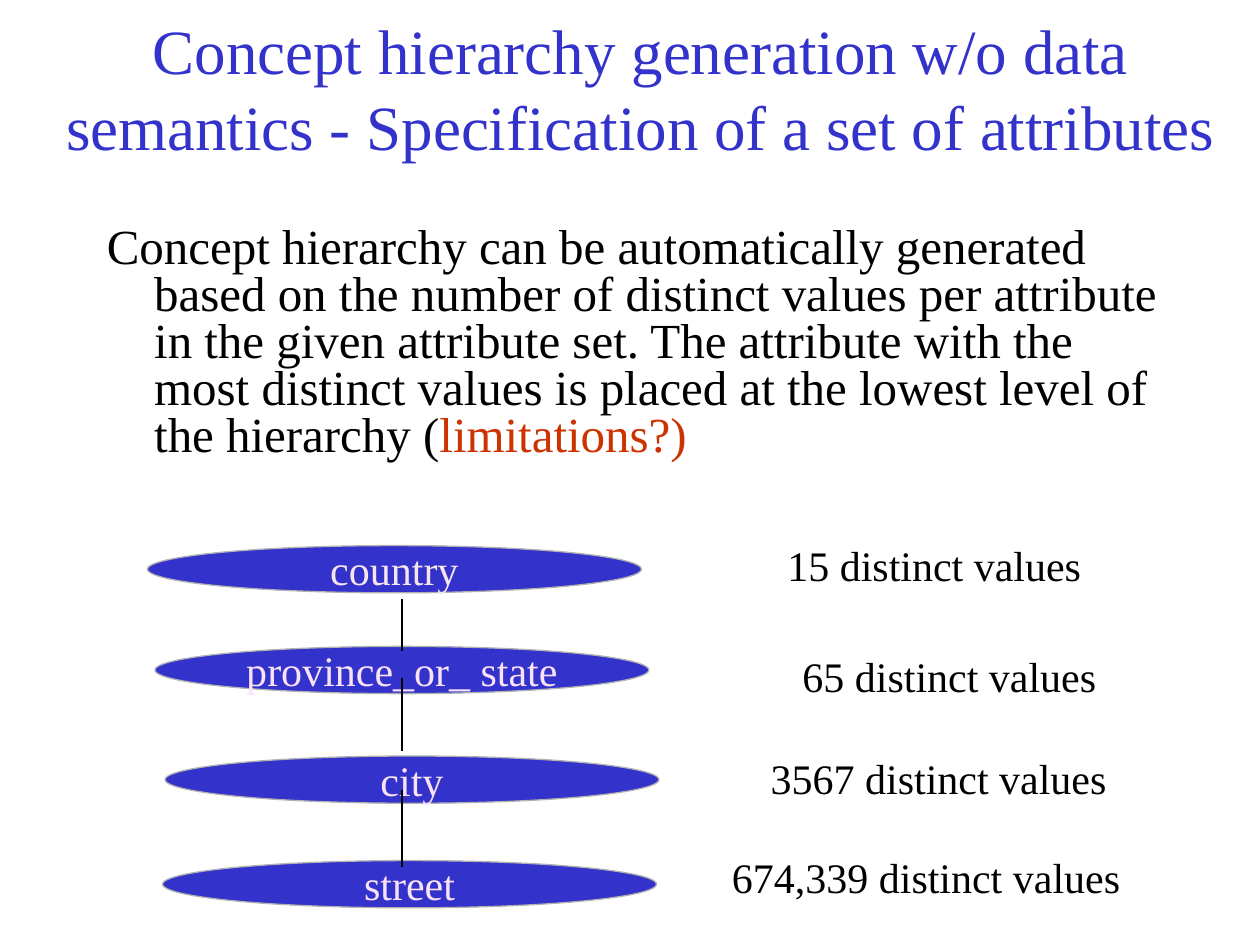
import dataclasses

import pptx
import pptx.dml.color
import pptx.enum.shapes
import pptx.enum.text
import pptx.oxml
import pptx.oxml.ns
import pptx.util

Pt = pptx.util.Pt
ALIGN = pptx.enum.text.PP_ALIGN
ANCHOR = pptx.enum.text.MSO_ANCHOR


@dataclasses.dataclass(frozen=True)
class Theme:
    font: str = "Times New Roman"
    blue: str = "3333CC"
    black: str = "000000"
    red: str = "CC3300"
    outline: str = "B2B2B2"
    pink: str = "F6E6EA"
    lilac: str = "FAE2F6"
    title_size: float = 36
    body_size: float = 28
    label_size: float = 24
    line_width: float = 0.74


@dataclasses.dataclass(frozen=True)
class Level:
    name: str
    left: float
    top: float
    color: str
    count: str
    count_left: float
    count_top: float
    count_width: float


THEME = Theme()
ELLIPSE_WIDTH, ELLIPSE_HEIGHT = 282.24, 27
LINK_X = 229.68
LEVELS = [
    Level("country", 84.24, 311.76, THEME.pink, "15 distinct values", 442.8, 304.56, 182.16),
    Level("province_or_ state", 88.56, 369.36, THEME.lilac, "65 distinct values", 451.44, 367.92, 182.16),
    Level("city", 94.32, 432, THEME.lilac, "3567 distinct values", 433.44, 426.24, 205.92),
    Level("street", 92.88, 491.76, THEME.lilac, "674,339 distinct values", 411.12, 483.12, 236.16),
]
LINKS = [(342, 372.24), (387.36, 429.12), (451.44, 495.36)]


def rgb(color: str) -> pptx.dml.color.RGBColor:
    return pptx.dml.color.RGBColor.from_string(color)


def place(shape, left: float, top: float, width: float, height: float) -> None:
    shape.left, shape.top, shape.width, shape.height = map(Pt, (left, top, width, height))


def write(shape, *runs: tuple[str, str], size: float, align=ALIGN.CENTER,
          anchor=ANCHOR.TOP, wrap: bool = True, bottom: float = 3.6):
    frame = shape.text_frame
    frame.word_wrap = wrap
    frame.auto_size = pptx.enum.text.MSO_AUTO_SIZE.NONE
    frame.vertical_anchor = anchor
    frame.margin_left = frame.margin_right = Pt(7.2)
    frame.margin_top, frame.margin_bottom = Pt(3.6), Pt(bottom)
    paragraph = frame.paragraphs[0]
    paragraph.alignment = align
    for text, color in runs:
        run = paragraph.add_run()
        run.text = text
        run.font.name = THEME.font
        run.font.size = Pt(size)
        run.font.color.rgb = rgb(color)
    return paragraph


def add_level(slide, level: Level) -> None:
    ellipse = slide.shapes.add_shape(
        pptx.enum.shapes.MSO_SHAPE.OVAL, Pt(level.left), Pt(level.top),
        Pt(ELLIPSE_WIDTH), Pt(ELLIPSE_HEIGHT))
    ellipse.shadow.inherit = False
    ellipse.fill.solid()
    ellipse.fill.fore_color.rgb = rgb(THEME.blue)
    ellipse.line.color.rgb = rgb(THEME.outline)
    ellipse.line.width = Pt(THEME.line_width)
    write(ellipse, (level.name, level.color), size=THEME.label_size,
          anchor=ANCHOR.MIDDLE, wrap=False)


def add_count(slide, level: Level) -> None:
    box = slide.shapes.add_textbox(
        Pt(level.count_left), Pt(level.count_top), Pt(level.count_width), Pt(36))
    write(box, (level.count, THEME.black), size=THEME.label_size, wrap=False)


def add_link(slide, top: float, bottom: float) -> None:
    link = slide.shapes.add_connector(
        pptx.enum.shapes.MSO_CONNECTOR.STRAIGHT, Pt(LINK_X), Pt(top), Pt(LINK_X), Pt(bottom))
    link.line.color.rgb = rgb(THEME.black)
    link.line.width = Pt(THEME.line_width)
    properties = link._element.spPr
    properties.append(pptx.oxml.parse_xml(
        f"<a:effectLst {pptx.oxml.ns.nsdecls('a')}/>"))


def add_description(slide) -> None:
    box = slide.shapes.add_textbox(Pt(54), Pt(126), Pt(617.76), Pt(149.76))
    paragraph = write(
        box,
        ("Concept hierarchy can be automatically generated based on the number of "
         "distinct values per attribute in the given attribute set. The attribute with "
         "the most distinct values is placed at the lowest level of the hierarchy (",
         THEME.black),
        ("limitations?)", THEME.red),
        size=THEME.body_size, align=ALIGN.LEFT)
    paragraph.line_spacing = 0.8
    paragraph.space_before = Pt(7)
    indent = paragraph._p.get_or_add_pPr()
    indent.set("marL", str(Pt(27)))
    indent.set("indent", str(-Pt(27)))


def build() -> None:
    presentation = pptx.Presentation()
    presentation.slide_width, presentation.slide_height = Pt(720), Pt(540)
    slide = presentation.slides.add_slide(presentation.slide_layouts[5])
    title = slide.shapes.title
    place(title, 12.24, 36, 707.76, 66.24)
    write(title, ("Concept hierarchy generation w/o data semantics - "
                  "Specification of a set of attributes", THEME.blue),
          size=THEME.title_size, anchor=ANCHOR.MIDDLE, bottom=42)
    add_description(slide)
    for level in LEVELS:
        add_level(slide, level)
    for top, bottom in LINKS:
        add_link(slide, top, bottom)
    for level in LEVELS:
        add_count(slide, level)
    presentation.save("out.pptx")


build()
